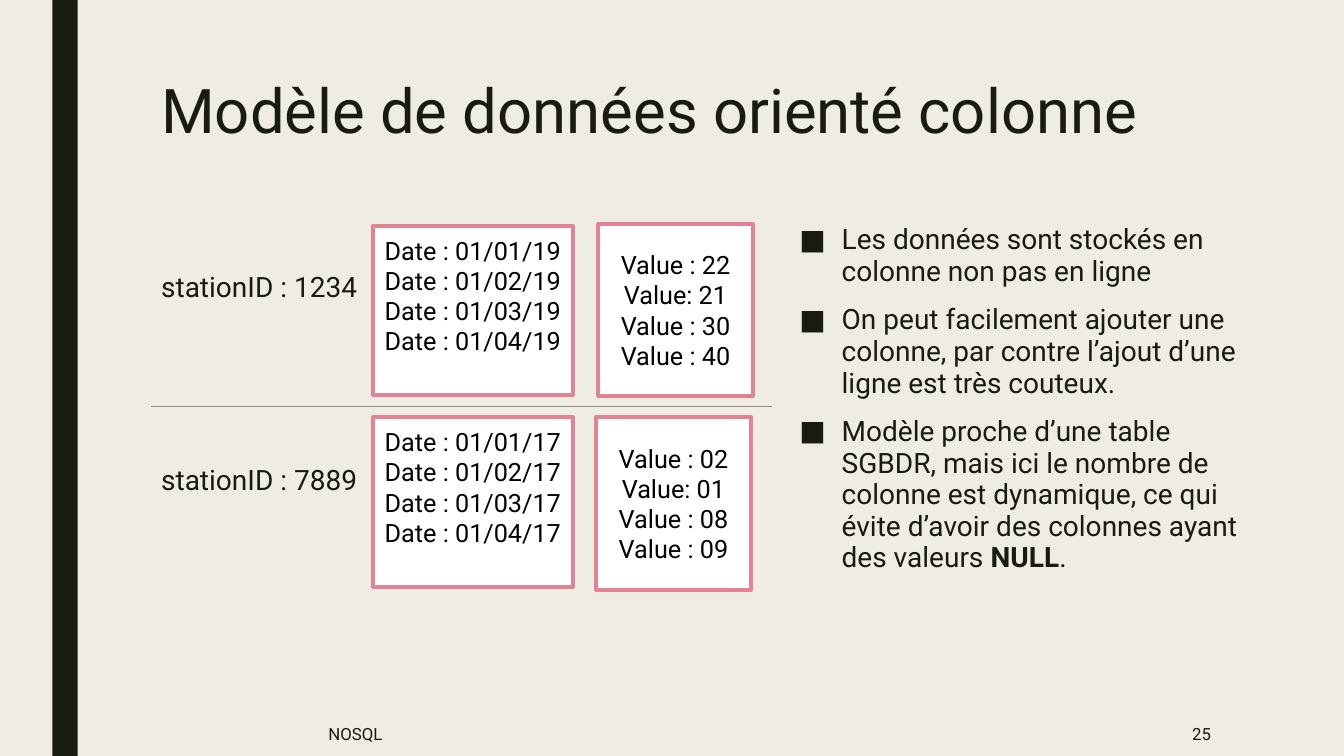
"""Build a slide on the column-oriented data model."""
from dataclasses import dataclass

from lxml import etree
from pptx import Presentation
from pptx import util as u
from pptx.dml import color
from pptx.enum import shapes, text
from pptx.oxml import ns

HUES = {"paper": "EFEDE3", "ink": "191B0E", "pink": "E28394",
        "rule": "8C8D86", "white": "FFFFFF", "black": "000000"}
FONT = "Roboto"
LEFT, MID, RIGHT = (text.PP_ALIGN.LEFT, text.PP_ALIGN.CENTER, text.PP_ALIGN.RIGHT)
TOP, CORE = text.MSO_ANCHOR.TOP, text.MSO_ANCHOR.MIDDLE


@dataclass
class Box:
    left: float
    top: float
    width: float
    height: float

    def place(self) -> list:
        return [u.Inches(n) for n in (self.left, self.top, self.width, self.height)]


@dataclass
class Row:
    name: str
    mid: float
    dates: Box
    year: str
    cells: Box
    values: list


ROWS = [
    Row("1234", 2.84, Box(3.7, 2.24, 1.98, 1.68), "19", Box(5.93, 2.22, 1.54, 1.71),
        ["Value : 22", "Value: 21", "Value : 30", "Value : 40"]),
    Row("7889", 4.76, Box(3.7, 4.14, 1.98, 1.68), "17", Box(5.91, 4.14, 1.54, 1.71),
        ["Value : 02", "Value: 01", "Value : 08", "Value : 09"]),
]
POINTS = [
    [("Les données sont stockés en colonne non pas en ligne", False)],
    [("On peut facilement ajouter une colonne, par contre l’ajout d’une "
      "ligne est très couteux.", False)],
    [("Modèle proche d’une table SGBDR, mais ici le nombre de colonne est "
      "dynamique, ce qui évite d’avoir des colonnes ayant des valeurs ", False),
     ("NULL", True), (".", False)],
]


def rgb(name: str) -> color.RGBColor:
    return color.RGBColor.from_string(HUES[name])


def write(shape, lines: list, *, size: float, hue: str = "ink", align=LEFT,
          anchor=TOP, inset: float = 0.05, pitch: float = 1.0,
          bullet: str = "") -> None:
    frame = shape.text_frame
    frame.word_wrap = True
    frame.vertical_anchor = anchor
    frame.margin_top = u.Inches(inset)
    for i, line in enumerate(lines):
        para = frame.paragraphs[0] if i == 0 else frame.add_paragraph()
        para.alignment = align
        para.line_spacing = pitch
        if bullet:
            para.space_before, para.space_after = u.Pt(10), u.Pt(2)
            props = para._p.get_or_add_pPr()
            props.set("marL", str(u.Inches(0.42)))
            props.set("indent", str(-u.Inches(0.42)))
            etree.SubElement(props, ns.qn("a:buFont"), typeface="Wingdings")
            etree.SubElement(props, ns.qn("a:buChar"), char=bullet)
            props.find(ns.qn("a:buFont")).set("typeface", FONT)
        parts = [(line, False)] if isinstance(line, str) else line
        for words, bold in parts:
            run = para.add_run()
            run.text = words
            run.font.name, run.font.size, run.font.bold = FONT, u.Pt(size), bold
            run.font.color.rgb = rgb(hue)


def label(slide, box: Box, lines: list, **style) -> None:
    write(slide.shapes.add_textbox(*box.place()), lines, **style)


def block(slide, box: Box, fill: str, edge: str = ""):
    shape = slide.shapes.add_shape(shapes.MSO_SHAPE.RECTANGLE, *box.place())
    shape.shadow.inherit = False
    shape.fill.solid()
    shape.fill.fore_color.rgb = rgb(fill)
    if edge:
        shape.line.color.rgb = rgb(edge)
        shape.line.width = u.Pt(2.75)
    else:
        shape.line.fill.background()
    return shape


def station(slide, row: Row) -> None:
    label(slide, Box(1.5, row.mid - 0.25, 2.2, 0.5), [f"stationID : {row.name}"],
          size=20, anchor=CORE)
    dates = [f"Date : 01/{month:02}/{row.year}" for month in range(1, 5)]
    write(block(slide, row.dates, "white", "pink"), dates,
          size=18, hue="black", align=MID, inset=0.09)
    write(block(slide, row.cells, "white", "pink"), row.values,
          size=18, hue="black", align=MID, anchor=CORE)


def rule(slide, left: float, right: float, top: float) -> None:
    line = slide.shapes.add_connector(
        shapes.MSO_CONNECTOR.STRAIGHT, *[u.Inches(n) for n in (left, top, right, top)])
    line.line.color.rgb = rgb("rule")
    line.line.width = u.Pt(0.5)
    etree.SubElement(line._element.spPr, ns.qn("a:effectLst"))


def main() -> None:
    deck = Presentation()
    deck.slide_width, deck.slide_height = u.Inches(13.33), u.Inches(7.5)
    slide = deck.slides.add_slide(deck.slide_layouts[6])
    slide.background.fill.solid()
    slide.background.fill.fore_color.rgb = rgb("paper")
    block(slide, Box(0.52, 0, 0.25, 7.5), "ink")
    label(slide, Box(1.5, 0.75, 10.5, 1.62), ["Modèle de données orienté colonne"],
          size=44, pitch=0.89)
    label(slide, Box(7.83, 2.18, 4.86, 3.92), POINTS, size=20, pitch=0.94, bullet="■")
    label(slide, Box(3.16, 7.06, 6.87, 0.44), ["NOSQL"], size=12, anchor=CORE)
    label(slide, Box(10.36, 7.06, 1.75, 0.44), ["25"], size=12, align=RIGHT, anchor=CORE)
    for row in ROWS:
        station(slide, row)
    rule(slide, 1.5, 7.66, 4.03)
    deck.save("out.pptx")


if __name__ == "__main__":
    main()
